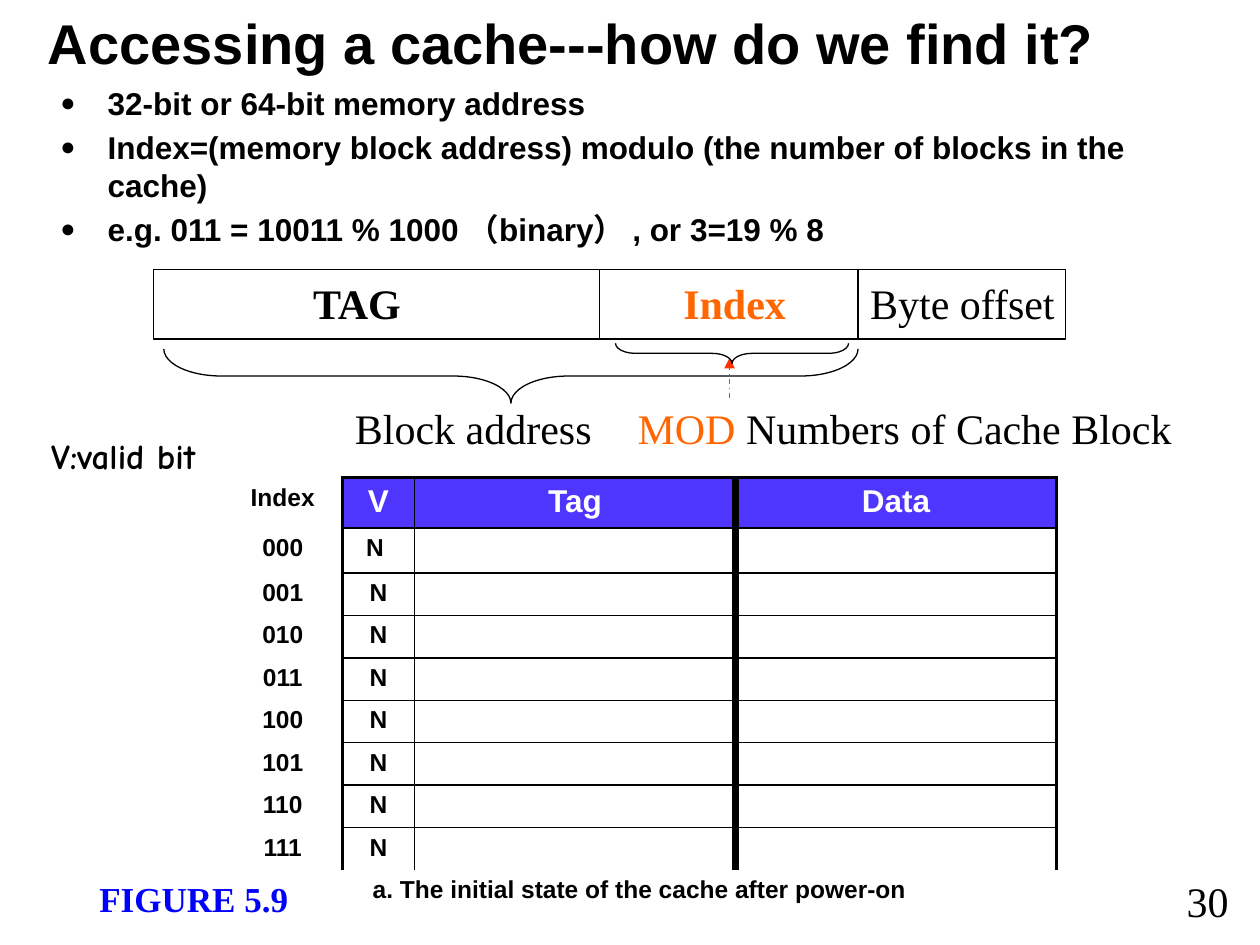
from typing import NamedTuple, Optional

from lxml.etree import SubElement
from pptx import Presentation
from pptx.dml.color import RGBColor
from pptx.enum.dml import MSO_LINE
from pptx.enum.shapes import MSO_CONNECTOR, MSO_SHAPE
from pptx.enum.text import MSO_ANCHOR as Anchor, PP_ALIGN as Align
from pptx.oxml.ns import qn
from pptx.util import Pt

BLACK, WHITE, ORANGE, RED, BLUE, VIOLET = (
    "000000", "FFFFFF", "FF6600", "FF3300", "0000FF", "4E36FE")
SANS, SERIF, HAND = "Arial", "Times New Roman", "Comic Neue"


class Run(NamedTuple):
    text: str
    size: float = 24
    color: str = BLACK
    bold: bool = False
    font: str = SERIF


class Label(NamedTuple):
    left: float
    top: float
    width: float
    height: float
    runs: list[Run]
    align: Align = Align.LEFT
    anchor: Anchor = Anchor.TOP
    wrap: bool = False
    inset: tuple[float, float] = (7.2, 3.6)
    tab: Optional[float] = None


class Brace(NamedTuple):
    """A brace that opens upward, placed by its visible frame."""
    left: float
    top: float
    width: float
    height: float
    curve: float


class Rule(NamedTuple):
    x: float
    start: float
    end: float
    color: str = BLACK
    arrow: bool = False


def rgb(value: str) -> RGBColor:
    return RGBColor.from_string(value)


def add_run(p, run: Run) -> None:
    r = p.add_run()
    r.text = run.text
    r.font.size, r.font.bold, r.font.name = Pt(run.size), run.bold, run.font
    r.font.color.rgb = rgb(run.color)


def set_insets(tf, x: float, y: float) -> None:
    tf.margin_left = tf.margin_right = Pt(x)
    tf.margin_top = tf.margin_bottom = Pt(y)


def add_label(shapes, label: Label) -> None:
    sp = shapes.add_textbox(*map(Pt, label[:4]))
    tf = sp.text_frame
    tf.word_wrap, tf.vertical_anchor = label.wrap, label.anchor
    set_insets(tf, *label.inset)
    p = tf.paragraphs[0]
    p.alignment = label.align
    if label.tab:
        tabs = SubElement(p._p.get_or_add_pPr(), qn("a:tabLst"))
        SubElement(tabs, qn("a:tab"), pos=str(Pt(label.tab)), algn="l")
    for run in label.runs:
        add_run(p, run)


def add_outline(shapes, kind: MSO_SHAPE, left: float, top: float,
                width: float, height: float):
    sp = shapes.add_shape(kind, Pt(left), Pt(top), Pt(width), Pt(height))
    sp.shadow.inherit = False
    sp.fill.background()
    sp.line.color.rgb, sp.line.width = rgb(BLACK), Pt(0.75)
    return sp


def add_brace(shapes, b: Brace) -> None:
    shift = (b.width - b.height) / 2
    sp = add_outline(shapes, MSO_SHAPE.RIGHT_BRACE, b.left + shift,
                     b.top - shift, b.height, b.width)
    sp.rotation = 90
    sp.adjustments[0], sp.adjustments[1] = b.curve, 0.5


def add_rule(shapes, rule: Rule) -> None:
    x = Pt(rule.x)
    line = shapes.add_connector(MSO_CONNECTOR.STRAIGHT, x, Pt(rule.start), x, Pt(rule.end))
    line.line.color.rgb, line.line.width = rgb(rule.color), Pt(0.75)
    if rule.arrow:
        line.line.dash_style = MSO_LINE.DASH_DOT
        SubElement(line.line._get_or_add_ln(), qn("a:tailEnd"), type="triangle")
    SubElement(line._element.spPr, qn("a:effectLst"))


def add_bullets(shapes, lines: list[str]) -> None:
    sp = add_outline(shapes, MSO_SHAPE.ROUNDED_RECTANGLE, 20.2, 37.4, 660.2, 198.7)
    sp.adjustments[0] = 0.125
    sp.line.fill.background()
    tf = sp.text_frame
    tf.word_wrap, tf.vertical_anchor = True, Anchor.TOP
    for i, line in enumerate(lines):
        p = tf.add_paragraph() if i else tf.paragraphs[0]
        p.alignment = Align.LEFT
        p_pr = p._p.get_or_add_pPr()
        p_pr.set("marL", str(Pt(27)))
        p_pr.set("indent", str(-Pt(27)))
        color = SubElement(p_pr, qn("a:buClr"))
        SubElement(color, qn("a:srgbClr"), val=BLACK)
        SubElement(p_pr, qn("a:buSzPct"), val="80000")
        SubElement(p_pr, qn("a:buFont"), typeface=SANS)
        SubElement(p_pr, qn("a:buChar"), char="●")
        if i:
            p.space_before = Pt(3.6)
        add_run(p, Run(line, 18, BLACK, True, SANS))


def set_borders(cell, widths: tuple[float, ...]) -> None:
    """Widths run left, right, top, bottom; zero hides a side."""
    tc_pr = cell._tc.get_or_add_tcPr()
    for i, (side, width) in enumerate(zip("LRTB", widths)):
        ln = tc_pr.makeelement(qn(f"a:ln{side}"), {"w": str(Pt(width))})
        tc_pr.insert(i, ln)
        if width:
            fill = SubElement(ln, qn("a:solidFill"))
            SubElement(fill, qn("a:srgbClr"), val=BLACK)
        else:
            SubElement(ln, qn("a:noFill"))


def add_cache_table(shapes) -> None:
    col_widths = [68.4, 41, 183.6, 183.2]
    heights = [28.8, 25.7] + [24] * 8
    entries = [[f"{i:03b}", "N", "", ""] for i in range(8)]
    entries[0][1] = "N "
    caption = ["a. The initial state of the cache after power-on", "", "", ""]
    rows = [["Index", "V", "Tag", "Data"], *entries, caption]
    edges = [0, 2.25, 1, 4.5, 2.25]
    last = len(rows) - 1

    table = shapes.add_table(len(rows), 4, Pt(127.4), Pt(272.9),
                             Pt(sum(col_widths)), Pt(sum(heights))).table
    table.first_row = table.horz_banding = False
    for column, width in zip(table.columns, col_widths):
        column.width = Pt(width)
    for i, (row, height) in enumerate(zip(rows, heights)):
        table.rows[i].height = Pt(height)
        for j, text in enumerate(row):
            cell = table.cell(i, j)
            header = i == 0 and j > 0
            if header:
                cell.fill.solid()
                cell.fill.fore_color.rgb = rgb(VIOLET)
            else:
                cell.fill.background()
            if i == last:
                set_borders(cell, (0, 0, 0, 0))
            else:
                top = 0 if j == 0 else 2.25 if i == 0 else 1
                bottom = 0 if j == 0 or i == last - 1 else 1
                set_borders(cell, (edges[j], edges[j + 1], top, bottom))
            p = cell.text_frame.paragraphs[0]
            p.alignment = Align.CENTER
            if text:
                add_run(p, Run(text, 18 if header else 14,
                               WHITE if header else BLACK, True, SANS))
            else:
                SubElement(p._p, qn("a:endParaRPr"), sz="1400")
    table.cell(last, 0).merge(table.cell(last, 3))


def field_label(center: float, run: Run) -> Label:
    width = 116
    return Label(center - width / 2, 159.1, width, 28.1, [run],
                 Align.CENTER, Anchor.MIDDLE, inset=(0, 0))


LABELS = [
    field_label(550, Run("Byte offset")),
    field_label(419.8, Run("Index", color=ORANGE, bold=True)),
    field_label(204, Run("TAG", bold=True)),
    Label(195.8, 233, 487.4, 23,
          [Run("Block address\t"), Run("MOD ", color=ORANGE), Run("Numbers of Cache Block")],
          anchor=Anchor.MIDDLE, tab=161.5),
    Label(-20.2, 244.5, 139, 74.9, [Run("V:valid bit", 20, BLACK, True, HAND)],
          Align.RIGHT, wrap=True),
    Label(49.7, 497.8, 181.4, 31.7, [Run("FIGURE 5.9", 20, BLUE, True)], wrap=True),
    Label(671, 496.8, 42.5, 36, [Run("30")]),
]
BRACES = [Brace(93.6, 199.4, 396.7, 31, 1.063), Brace(351.7, 196.2, 133.2, 11.5, 0.987)]
RULES = [Rule(490.3, 154.1, 193.7), Rule(342.7, 154.1, 193.7),
         Rule(416.9, 227.5, 204.5, RED, True)]
BULLETS = [
    "32-bit or 64-bit memory address",
    "Index=(memory block address) modulo (the number of blocks in the cache)",
    "e.g. 011 = 10011 % 1000 （binary） , or 3=19 % 8",
]


def main() -> None:
    prs = Presentation()
    prs.slide_width, prs.slide_height = Pt(720), Pt(540)
    s = prs.slides.add_slide(prs.slide_layouts[5])
    title = s.shapes.title
    title.left, title.top, title.width, title.height = map(Pt, (20.2, 0, 631.4, 48.2))
    tf = title.text_frame
    tf.vertical_anchor = Anchor.MIDDLE
    p = tf.paragraphs[0]
    p.alignment = Align.LEFT
    add_run(p, Run("Accessing a cache---how do we find it?", 32, BLACK, True, SANS))
    add_bullets(s.shapes, BULLETS)
    add_outline(s.shapes, MSO_SHAPE.RECTANGLE, 87.8, 154.1, 521.3, 39.6)
    for rule in RULES:
        add_rule(s.shapes, rule)
    for brace in BRACES:
        add_brace(s.shapes, brace)
    add_cache_table(s.shapes)
    for label in LABELS:
        add_label(s.shapes, label)
    prs.save("out.pptx")


if __name__ == "__main__":
    main()
